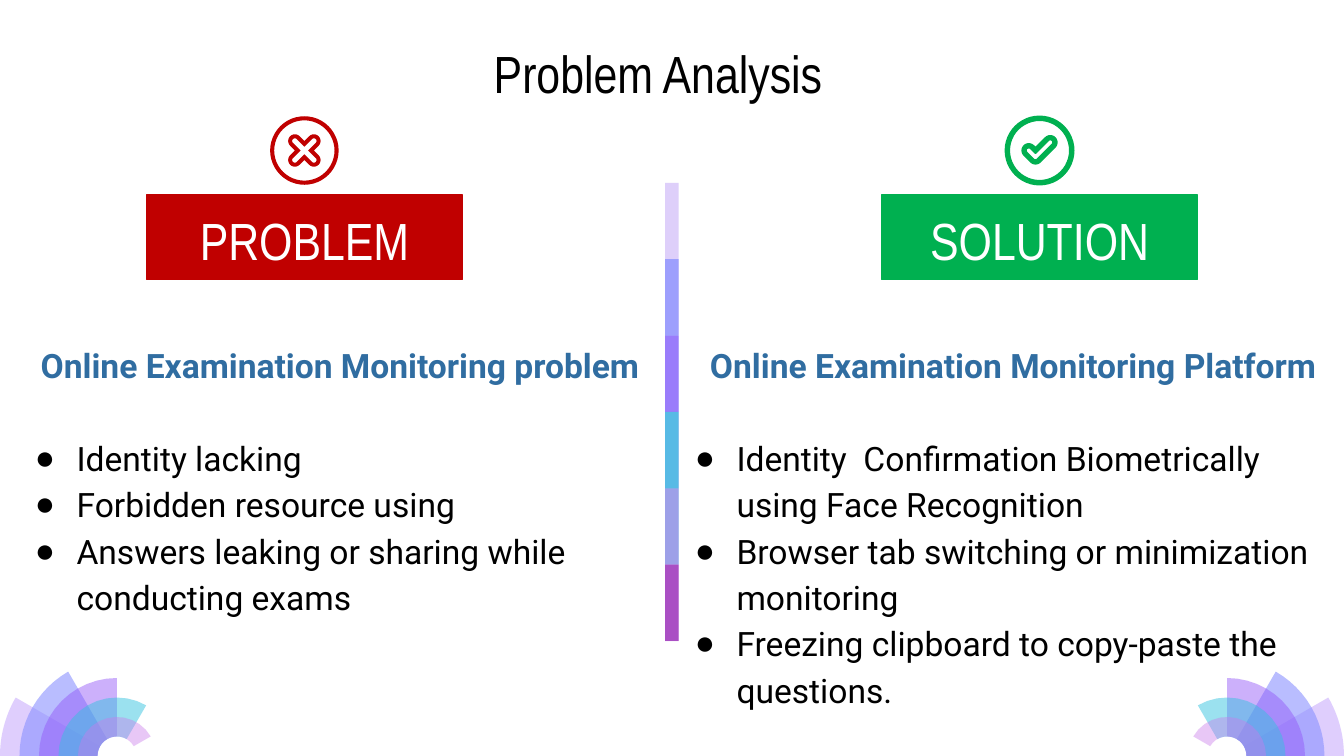
from math import cos, radians, sin, sqrt

from lxml import etree
from pptx import Presentation
from pptx.dml.color import RGBColor
from pptx.enum.shapes import MSO_SHAPE
from pptx.enum.text import MSO_ANCHOR, MSO_AUTO_SIZE, PP_ALIGN
from pptx.oxml.ns import qn
from pptx.util import Inches, Pt

RECT, DONUT = MSO_SHAPE.RECTANGLE, MSO_SHAPE.DONUT
TOP, NO_FIT = MSO_ANCHOR.TOP, MSO_AUTO_SIZE.NONE
LEFT, CENTER, RIGHT = PP_ALIGN.LEFT, PP_ALIGN.CENTER, PP_ALIGN.RIGHT

COLORS = {
    "black": "000000", "white": "FFFFFF", "heading": "306DA1",
    "problem": "C00000", "solution": "00B050",
    "lilac": "C8ACFD", "pale": "C8AEF8", "blue": "878FFF", "violet": "9154F8",
    "cyan": "35C2DF", "pink": "CA7BEB", "purple": "972CB4",
}
TITLE = "Problem Analysis"
COLUMNS = [
    {
        "label": "PROBLEM", "color": "problem", "label_left": 1.09,
        "icon": "cross", "line": None,
        "box": (0.16, 2.42, 4.76, 2.45), "align": RIGHT,
        "heading": "Online Examination Monitoring problem ",
        "bullets": [
            "Identity lacking",
            "Forbidden resource using",
            "Answers leaking or sharing while conducting exams",
        ],
    },
    {
        "label": "SOLUTION", "color": "solution", "label_left": 6.56,
        "icon": "tick", "line": 0.75,
        "box": (5.07, 2.42, 5, 2.45), "align": CENTER,
        "heading": "Online Examination Monitoring Platform ",
        "bullets": [
            "Identity  Confirmation Biometrically using Face Recognition",
            "Browser tab switching or minimization monitoring",
            "Freezing clipboard to copy-paste the questions.",
        ],
    },
]
FAN = [("lilac", 58), ("blue", 58), ("violet", 46), ("cyan", 49), ("pink", 42)]
BARS = [("pale", 59), ("blue", 74), ("violet", 53), ("cyan", 76), ("pink", 56), ("purple", 74)]

SLIDE_W = 10
SLIDE_H = SLIDE_W * 9 / 16
FAN_X = FAN_R = 0.87
FAN_STEP = FAN_R / 6
BAR_TOP, BAR_BOTTOM = 1.36, 4.77
BAR_STEP = (BAR_BOTTOM - BAR_TOP) / len(BARS)
LABEL_W, ICON_Y, ICON_D = 2.35, 1.12, 0.51


def rgb(name):
    return RGBColor.from_string(COLORS[name])


def paint(sp, color, alpha=None, line=None):
    sp.shadow.inherit = False
    sp.fill.solid()
    sp.fill.fore_color.rgb = rgb(color)
    if alpha:
        clr = sp._element.spPr.find(qn("a:solidFill"))[0]
        etree.SubElement(clr, qn("a:alpha"), val=str(alpha * 1000))
    if line:
        sp.line.color.rgb = rgb(color)
        sp.line.width = Pt(line)
    else:
        sp.line.fill.background()


def place(sp, left, top, width, height):
    sp.left, sp.top, sp.width, sp.height = map(Inches, (left, top, width, height))


def arc(cx, cy, radius, start, end, steps=12):
    angles = [radians(start + (end - start) * i / steps) for i in range(steps + 1)]
    return [(cx + radius * cos(a), cy + radius * sin(a)) for a in angles]


def cross(x, y, w):
    pts = []
    for a in (45, 135, 225, 315):
        tip_x, tip_y = x + 0.1 * cos(radians(a)), y + 0.1 * sin(radians(a))
        pts += arc(tip_x, tip_y, w, a - 90, a + 90)
        notch = radians(a + 45)
        pts.append((x + w * sqrt(2) * cos(notch), y + w * sqrt(2) * sin(notch)))
    return pts


def tick(x, y, w):
    return (arc(x - 0.08, y, w, 135, 315)
            + [(x - 0.03, y + 0.05 - w * sqrt(2))]
            + arc(x + 0.08, y - 0.06, w, 225, 405)
            + arc(x - 0.03, y + 0.05, w, 45, 135))


MARKS = {"cross": (cross, (0.05, 0.02)), "tick": (tick, (0.05, 0.02))}


def outline(shapes, contours):
    contours = [[(Inches(x), Inches(y)) for x, y in c] for c in contours]
    fb = shapes.build_freeform(*contours[0][0])
    fb.add_line_segments(contours[0][1:])
    for c in contours[1:]:
        fb.move_to(*c[0])
        fb.add_line_segments(c[1:])
    return fb.convert_to_shape()


def prepare(sp):
    tf = sp.text_frame
    tf.word_wrap = True
    tf.auto_size = NO_FIT
    tf.vertical_anchor = TOP
    tf.margin_left = tf.margin_right = tf.margin_top = tf.margin_bottom = Inches(0.1)
    return tf


def write(p, text, size, font, color, align, bold=False):
    p.alignment = align
    p.space_before = p.space_after = Pt(0)
    r = p.add_run()
    r.text = text
    r.font.size, r.font.name, r.font.bold = Pt(size), font, bold
    r.font.color.rgb = rgb(color)


def set_bullet(p, char=None):
    pPr = p._p.get_or_add_pPr()
    indent = Inches(0.31) if char else 0
    pPr.set("marL", str(indent))
    pPr.set("indent", str(-indent))
    if char:
        clr = etree.SubElement(pPr, qn("a:buClr"))
        etree.SubElement(clr, qn("a:srgbClr"), val=COLORS["black"])
        etree.SubElement(pPr, qn("a:buChar"), char=char)
    else:
        etree.SubElement(pPr, qn("a:buNone"))


def add_fan(slide, mirrored):
    group = slide.shapes.add_group_shape().shapes
    for i, (color, alpha) in enumerate(FAN):
        end = 210 + 30 * i
        pts = (arc(FAN_X, SLIDE_H, FAN_R - FAN_STEP * i, 180, end)
               + arc(FAN_X, SLIDE_H, FAN_STEP, end, 180))
        if mirrored:
            pts = [(SLIDE_W - x, y) for x, y in pts]
        paint(outline(group, [pts]), color, alpha)


def add_divider(slide):
    group = slide.shapes.add_group_shape().shapes
    for i, (color, alpha) in enumerate(BARS):
        top = BAR_TOP + BAR_STEP * i
        height = min(2 * BAR_STEP, BAR_BOTTOM - top)
        sp = group.add_shape(RECT, Inches(4.95), Inches(top), Inches(0.1), Inches(height))
        paint(sp, color, alpha)


def add_column(slide, body, col):
    sp = slide.shapes.add_shape(RECT, 0, 0, 0, 0)
    place(sp, col["label_left"], 1.45, LABEL_W, 0.63)
    paint(sp, col["color"], line=0.75)
    write(prepare(sp).paragraphs[0], col["label"], 28, "Arial Narrow", "white", CENTER)

    x = col["label_left"] + LABEL_W / 2
    group = slide.shapes.add_group_shape().shapes
    ring = group.add_shape(DONUT, Inches(x - ICON_D / 2), Inches(ICON_Y - ICON_D / 2),
                           Inches(ICON_D), Inches(ICON_D))
    ring.adjustments[0] = 0.06
    shape_of, widths = MARKS[col["icon"]]
    mark = outline(group, [shape_of(x, ICON_Y, w) for w in widths])
    for sp in (ring, mark):
        paint(sp, col["color"], line=col["line"])

    place(body, *col["box"])
    tf = prepare(body)
    p = tf.paragraphs[0]
    write(p, col["heading"], 18, "Roboto", "heading", col["align"], True)
    p.line_spacing = 1.15
    set_bullet(p)
    for i, text in enumerate(col["bullets"]):
        p = tf.add_paragraph()
        write(p, text, 18, "Roboto", "black", LEFT)
        p.line_spacing = 1.15
        p.space_before = Pt(0 if i else 25)
        set_bullet(p, "●")


prs = Presentation()
prs.slide_width, prs.slide_height = Inches(SLIDE_W), Inches(SLIDE_H)
slide = prs.slides.add_slide(prs.slide_layouts[3])
title, *bodies = [sp for sp in slide.placeholders]
for mirrored in (False, True):
    add_fan(slide, mirrored)
add_divider(slide)
place(title, 0.68, 0.21, 8.43, 0.63)
write(prepare(title).paragraphs[0], TITLE, 28, "Arial Narrow", "black", CENTER)
for body, col in zip(bodies, COLUMNS):
    add_column(slide, body, col)
prs.save("out.pptx")
